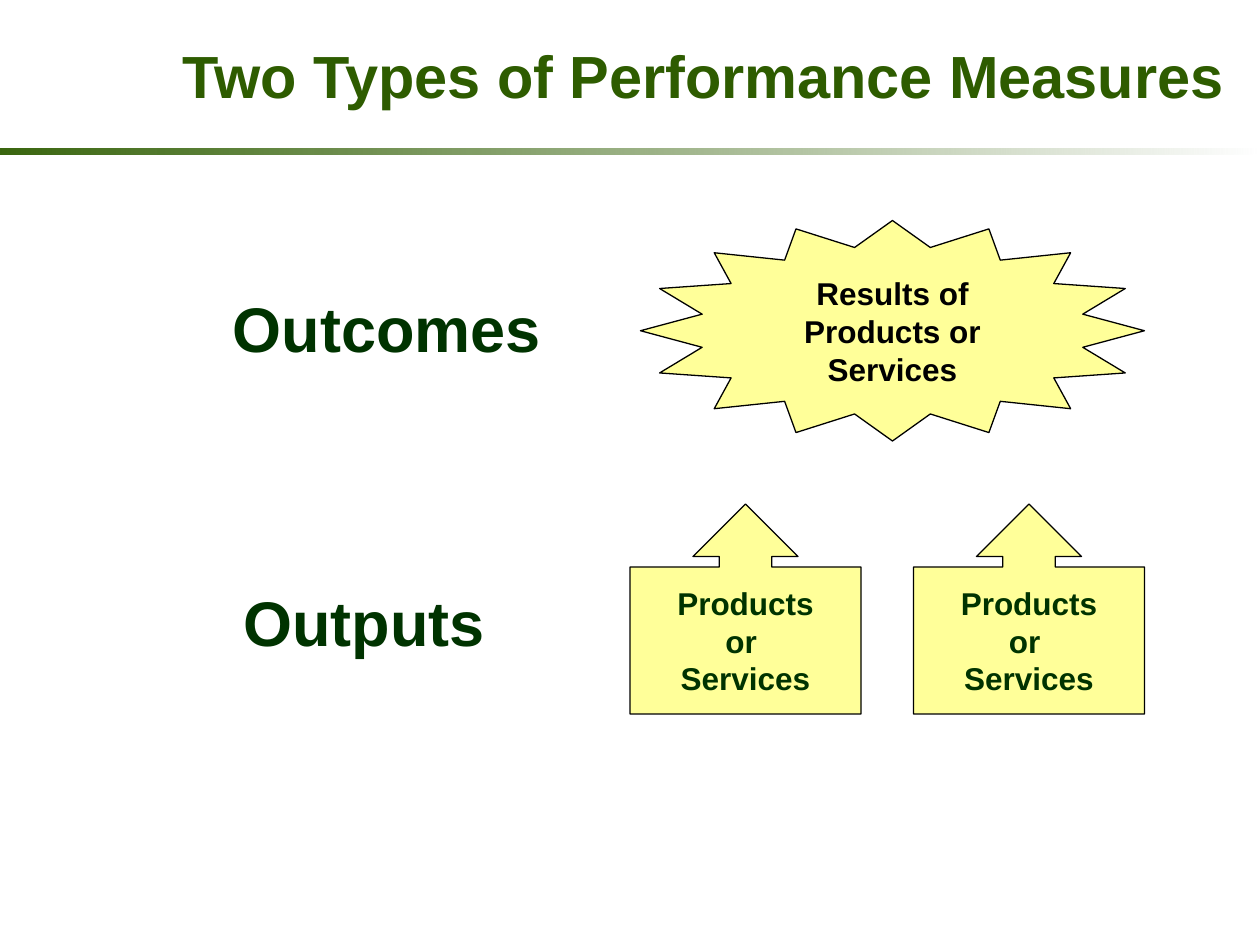
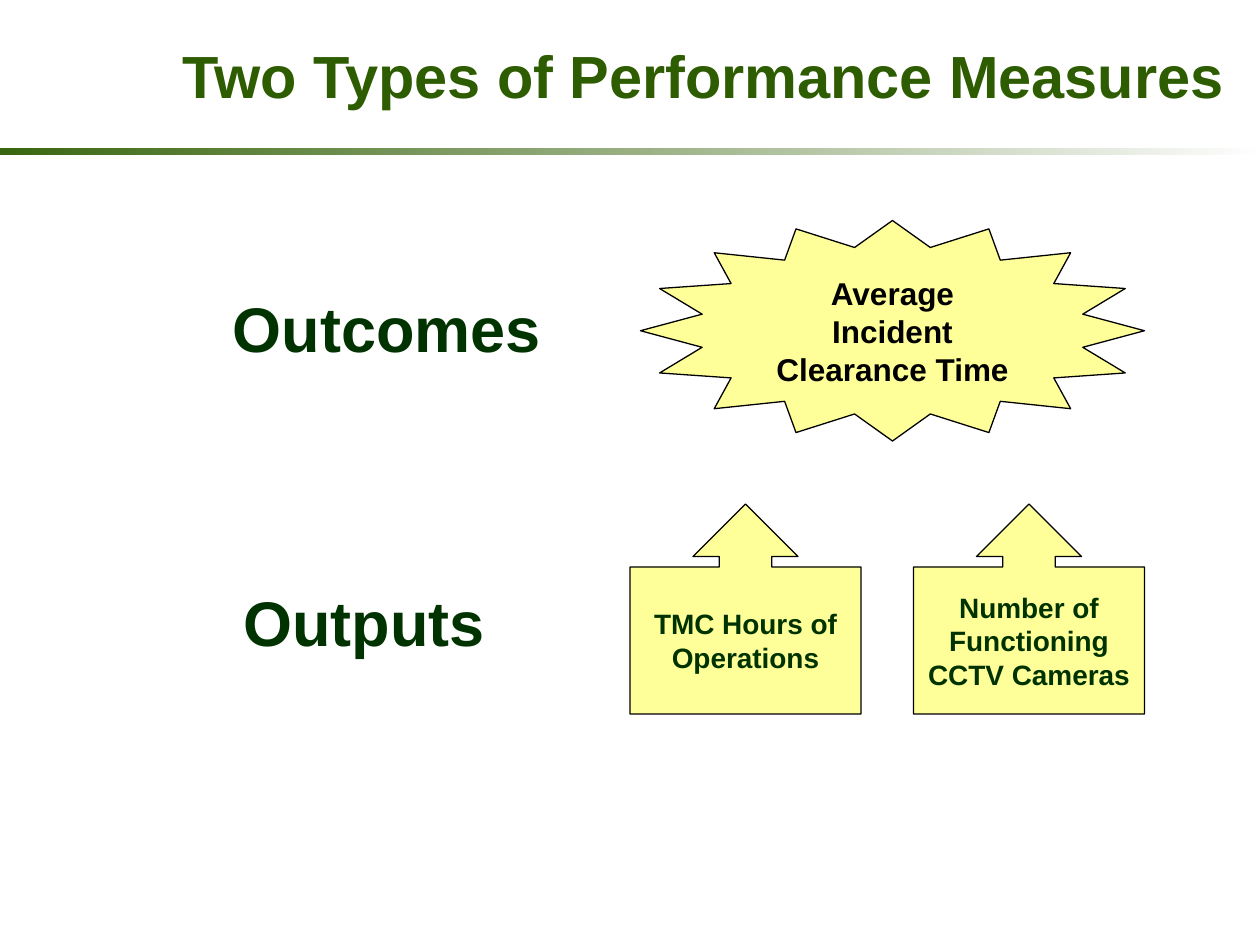
import math
from collections import namedtuple

from lxml import etree
from pptx import Presentation
from pptx.dml.color import RGBColor
from pptx.enum import shapes, text
from pptx.oxml.ns import qn
from pptx.util import Inches, Pt

Box = namedtuple("Box", "left top width height")
UNIT = Inches(10) // 120
SLIDE = Box(0, 0, 120, 90)
TITLE = Box(14, 1, 106, 12.2)
BAND = Box(0, 14.1, 120, 0.6)
OUTCOMES = Box(21, 21, 88, 21)
OUTPUTS = Box(22, 48, 87, 20)
LABEL_HEIGHT = 8.4

FONT = "Arial"
GREEN, BAND_GREEN, DARK_GREEN = "2E5C00", "3A660F", "003300"
YELLOW, BLACK = "FFFF99", "000000"

HEADING = "Two Types of Performance Measures"
SLIDES = [
    {
        "outcome": "Results of Products or Services",
        "outputs": [["Products", "or ", "Services"]] * 2,
        "output_size": 18,
    },
    {
        "outcome": "Average Incident Clearance Time",
        "outputs": [["TMC Hours of Operations"], ["Number of Functioning CCTV Cameras"]],
        "output_size": 16,
    },
]


def color(value):
    """Turn a hex string into a colour."""
    return RGBColor.from_string(value)


def emu(box):
    """Convert a box from grid units to slide lengths."""
    return [round(value * UNIT) for value in box]


def within(box, left, top, width, height):
    """Return a box placed relative to the corner of another."""
    return Box(box.left + left, box.top + top, width, height)


def apply(target, values):
    """Set each attribute of a format object."""
    for name, value in values.items():
        setattr(target, name, value)


def write(shape, paragraphs, size, ink, align=text.PP_ALIGN.CENTER,
          anchor=text.MSO_ANCHOR.MIDDLE, side_margin=0.1):
    """Fill a shape with bold paragraphs."""
    frame = shape.text_frame
    frame.text = "\n".join(paragraphs)
    apply(frame, {
        "word_wrap": True,
        "auto_size": text.MSO_AUTO_SIZE.NONE,
        "vertical_anchor": anchor,
        "margin_left": Inches(side_margin),
        "margin_right": Inches(side_margin),
        "margin_top": Inches(0.05),
        "margin_bottom": Inches(0.05),
    })
    for paragraph in frame.paragraphs:
        paragraph.alignment = align
        for run in paragraph.runs:
            apply(run.font, {"name": FONT, "size": Pt(size), "bold": True})
            run.font.color.rgb = color(ink)


def paint(shape):
    """Give a shape the yellow fill and thin black outline."""
    shape.shadow.inherit = False
    shape.fill.solid()
    shape.fill.fore_color.rgb = color(YELLOW)
    shape.line.color.rgb = color(BLACK)
    shape.line.width = Pt(0.75)


def add_band(slide, box):
    """Draw the green band that fades out to the right."""
    band = slide.shapes.add_shape(shapes.MSO_SHAPE.RECTANGLE, *emu(box))
    band.shadow.inherit = False
    band.line.fill.background()
    band.fill.gradient()
    band.fill.gradient_angle = 0
    for stop, value in zip(band.fill.gradient_stops, (BAND_GREEN, GREEN)):
        stop.color.rgb = color(value)
    faded = list(band.element.spPr.iter(qn("a:srgbClr")))[-1]
    etree.SubElement(faded, qn("a:alpha"), val="0")


def add_title(slide, box):
    """Place and format the title placeholder."""
    title = slide.shapes.title
    apply(title, dict(zip(Box._fields, emu(box))))
    write(title, [HEADING], 34, GREEN)


def add_label(slide, box, wording):
    """Add the large name of a row."""
    label = slide.shapes.add_textbox(*emu(box))
    write(label, [wording], 36, DARK_GREEN, text.PP_ALIGN.LEFT, text.MSO_ANCHOR.TOP)


def add_starburst(slide, box, wording, tips=16, inner=0.77):
    """Draw a star with its tips on the ellipse inside the box."""
    left, top, width, height = emu(box)
    points = []
    for step in range(2 * tips):
        angle = math.pi * (1 + step / tips)
        reach = inner if step % 2 else 1
        points.append((round(left + width / 2 * (1 + reach * math.cos(angle))),
                       round(top + height / 2 * (1 + reach * math.sin(angle)))))
    builder = slide.shapes.build_freeform(*points[0])
    builder.add_line_segments(points[1:], close=True)
    star = builder.convert_to_shape()
    paint(star)
    write(star, [wording], 18, BLACK, side_margin=1.04)


def add_outcomes(slide, box, wording):
    """Build the outcomes row: a label and a starburst."""
    add_label(slide, within(box, 0, 6, 32, LABEL_HEIGHT), "Outcomes")
    add_starburst(slide, within(box, 40, 0, 48, box.height), wording)


def add_outputs(slide, box, outputs, size):
    """Build the outputs row: a label and evenly spaced arrow callouts."""
    add_label(slide, within(box, 0, 7, 28, LABEL_HEIGHT), "Outputs")
    for index, paragraphs in enumerate(outputs):
        place = within(box, 38 + 27 * index, 0, 22, box.height)
        callout = slide.shapes.add_shape(shapes.MSO_SHAPE.UP_ARROW_CALLOUT, *emu(place))
        for position, share in enumerate((0.25, 0.25, 0.25, 0.7)):
            callout.adjustments[position] = share
        paint(callout)
        write(callout, paragraphs, size, DARK_GREEN)


def add_measures_slide(presentation, content):
    """Add one slide that compares outcomes with outputs."""
    slide = presentation.slides.add_slide(presentation.slide_layouts[5])
    add_band(slide, BAND)
    add_title(slide, TITLE)
    add_outputs(slide, OUTPUTS, content["outputs"], content["output_size"])
    add_outcomes(slide, OUTCOMES, content["outcome"])


def main():
    """Build and save the presentation."""
    presentation = Presentation()
    presentation.slide_width = SLIDE.width * UNIT
    presentation.slide_height = SLIDE.height * UNIT
    for content in SLIDES:
        add_measures_slide(presentation, content)
    presentation.save("out.pptx")


if __name__ == "__main__":
    main()
